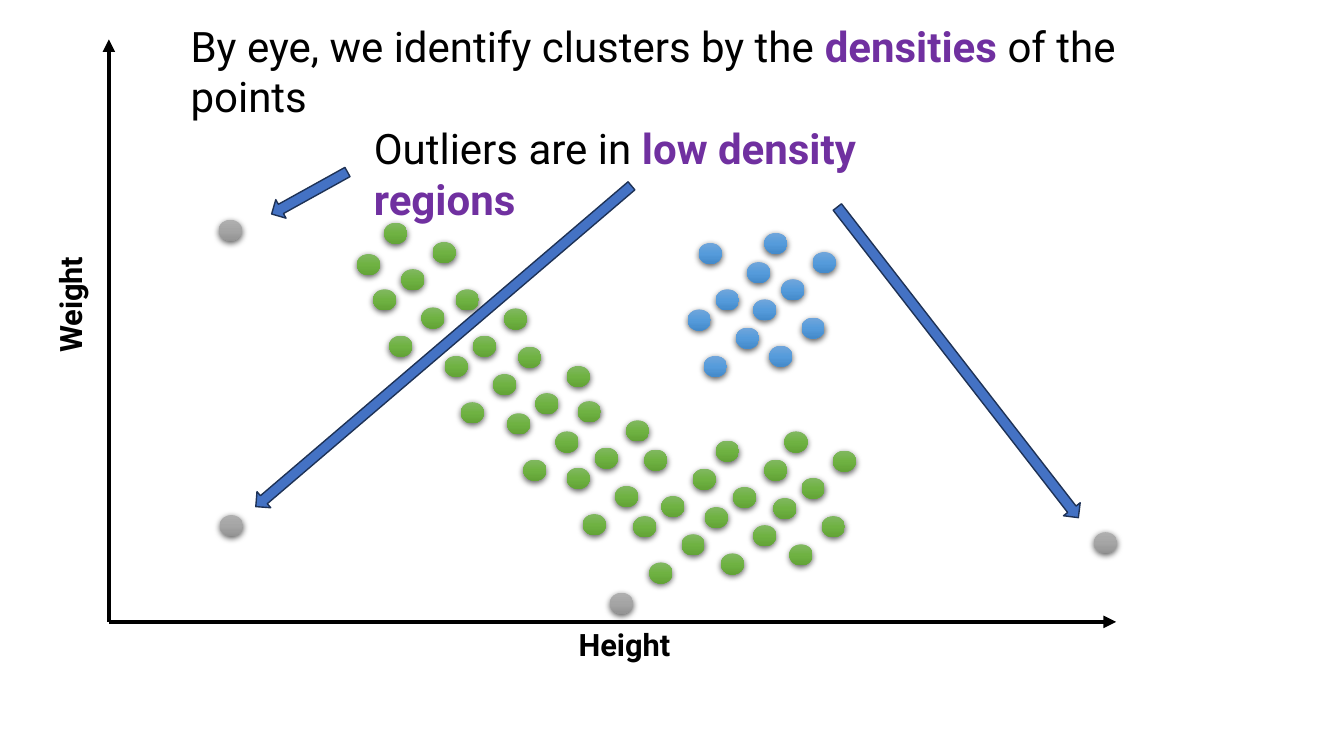
"""Draw a slide on clusters, point density and outliers."""
from copy import deepcopy

from lxml import etree
from pptx import Presentation
from pptx.dml.color import RGBColor
from pptx.enum.shapes import MSO_CONNECTOR, MSO_SHAPE
from pptx.enum.text import MSO_ANCHOR, MSO_AUTO_SIZE, PP_ALIGN
from pptx.oxml.ns import qn
from pptx.util import Inches, Pt

OVAL = MSO_SHAPE.OVAL
ARROW = MSO_SHAPE.RIGHT_ARROW
LINE = MSO_CONNECTOR.STRAIGHT
TOP = MSO_ANCHOR.TOP
LEFT = PP_ALIGN.LEFT
FIXED = MSO_AUTO_SIZE.NONE

BLACK = RGBColor(0x00, 0x00, 0x00)
PURPLE = RGBColor(0x70, 0x30, 0xA0)
BLUE = RGBColor(0x44, 0x72, 0xC4)
NAVY = RGBColor(0x1E, 0x32, 0x56)
GREENS = (RGBColor(0x81, 0xB8, 0x61), RGBColor(0x6F, 0xB2, 0x42), RGBColor(0x62, 0xA3, 0x36))
BLUES = (RGBColor(0x71, 0xA6, 0xDB), RGBColor(0x55, 0x9B, 0xDB), RGBColor(0x44, 0x8A, 0xCA))
GRAYS = (RGBColor(0xAF, 0xAF, 0xAF), RGBColor(0xA5, 0xA5, 0xA5), RGBColor(0x93, 0x93, 0x93))

MOTIF = [(0, 0), (0.17, 0.46), (0.48, 0.19), (-0.11, 0.66), (0.05, 1.12), (0.37, 0.84)]
GREEN_SETS = [(3.81, 2.21), (4.52, 2.87), (5.14, 3.44), (5.73, 3.98),
              (6.39, 4.46), (7.1, 4.37), (7.78, 4.28)]
BLUE_SETS = [(6.93, 2.41), (7.58, 2.31)]
OUTLIERS = [(2.17, 2.18), (2.18, 5.11), (10.85, 5.28), (6.05, 5.88)]
POINTERS = [(7.55, 3.49, 3.9, 52.2), (2.64, 1.81, 0.86, 151), (1.95, 3.33, 4.9, 139.5)]


class Board:
    """Hold the slide and its style."""

    font = "Roboto"
    dot_size = (0.23, 0.21)

    def __init__(self, deck):
        self.slide = deck.slides.add_slide(deck.slide_layouts[5])
        self.shapes = self.slide.shapes

    def fill_text(self, box, size, runs):
        frame = box.text_frame
        frame.word_wrap = True
        frame.auto_size = FIXED
        frame.vertical_anchor = TOP
        para = frame.paragraphs[0]
        para.alignment = LEFT
        para.font.name = self.font
        para.font.size = Pt(size)
        for text, color, bold in runs:
            run = para.add_run()
            run.text = text
            run.font.color.rgb = color
            run.font.bold = bold

    def title(self, left, top, width, height, runs):
        box = self.shapes.title
        box.left, box.top = Inches(left), Inches(top)
        box.width, box.height = Inches(width), Inches(height)
        self.fill_text(box, 30, runs)

    def text(self, left, top, width, height, size, runs, turn=0):
        box = self.shapes.add_textbox(Inches(left), Inches(top), Inches(width), Inches(height))
        box.rotation = turn
        self.fill_text(box, size, runs)

    def axis(self, x, y):
        line = self.shapes.add_connector(LINE, Inches(1.08), Inches(6.17), Inches(x), Inches(y))
        line.line.color.rgb = BLACK
        line.line.width = Pt(3)
        props = line._element.spPr
        etree.SubElement(props.find(qn("a:ln")), qn("a:tailEnd"), type="triangle")
        etree.SubElement(props, qn("a:effectLst"))

    def dot(self, x, y, colors):
        wide, high = self.dot_size
        dot = self.shapes.add_shape(OVAL, Inches(x), Inches(y), Inches(wide), Inches(high))
        dot.line.fill.background()
        dot.fill.gradient()
        dot.fill.gradient_angle = 270
        props = dot._element.spPr
        stops = props.find(qn("a:gradFill")).find(qn("a:gsLst"))
        stops.insert(1, deepcopy(stops[0]))
        for i, (stop, color) in enumerate(zip(dot.fill.gradient_stops, colors)):
            stop.position = i / 2
            stop.color.rgb = color
        dot.shadow.inherit = False
        shade = etree.SubElement(
            props.find(qn("a:effectLst")), qn("a:outerShdw"), blurRad=str(Pt(4.5)),
            dist=str(Pt(1.5)), dir="5400000", algn="ctr", rotWithShape="0")
        tint = etree.SubElement(shade, qn("a:srgbClr"), val=str(BLACK))
        etree.SubElement(tint, qn("a:alpha"), val="63000")

    def cloud(self, bases, colors):
        for x, y in bases:
            for dx, dy in MOTIF:
                self.dot(x + dx, y + dy, colors)

    def arrow(self, left, top, width, turn):
        arrow = self.shapes.add_shape(ARROW, Inches(left), Inches(top), Inches(width), Inches(0.21))
        arrow.rotation = turn
        arrow.shadow.inherit = False
        arrow.fill.solid()
        arrow.fill.fore_color.rgb = BLUE
        arrow.line.color.rgb = NAVY
        arrow.line.width = Pt(1)


def main():
    deck = Presentation()
    deck.slide_width, deck.slide_height = Inches(13.33), Inches(7.5)
    board = Board(deck)
    board.title(1.79, 0.15, 9.85, 0.61, [
        ("By eye, we identify clusters by the ", BLACK, False),
        ("densities", PURPLE, True), (" of the points", BLACK, False)])
    board.axis(11.07, 6.17)
    board.axis(1.08, 0.39)
    board.cloud(GREEN_SETS, GREENS)
    board.dot(3.54, 2.52, GREENS)
    board.cloud(BLUE_SETS, BLUES)
    for x, y in OUTLIERS:
        board.dot(x, y, GRAYS)
    board.text(5.64, 6.16, 1.17, 0.47, 22, [("Height", BLACK, True)])
    board.text(0.1, 2.77, 1.19, 0.47, 22, [("Weight", BLACK, True)], 270)
    board.text(3.61, 1.17, 6.4, 0.61, 30, [
        ("Outliers are in ", BLACK, False), ("low density regions", PURPLE, True)])
    for pointer in POINTERS:
        board.arrow(*pointer)
    deck.save("out.pptx")


if __name__ == "__main__":
    main()
